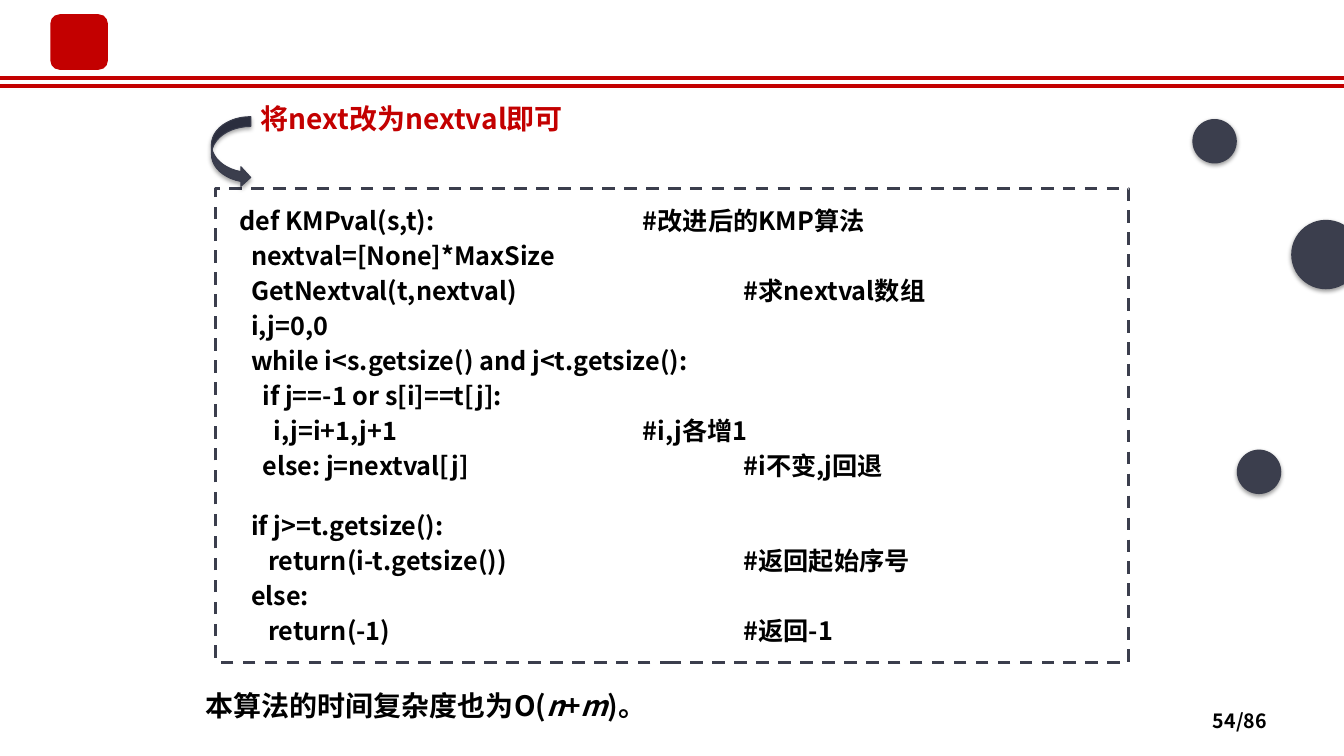
from lxml.etree import SubElement
from pptx import Presentation
from pptx.dml.color import RGBColor
from pptx.enum.dml import MSO_LINE
from pptx.enum.shapes import MSO_CONNECTOR, MSO_SHAPE as Preset
from pptx.enum.text import MSO_ANCHOR as Anchor, MSO_AUTO_SIZE as AutoSize, PP_ALIGN as Align
from pptx.oxml.ns import qn
from pptx.util import Cm, Pt

COLORS = {"red": "C30000", "slate": "3B3E4D", "slate_end": "363A4E",
          "arrow_line": "393C4C", "black": "000000"}
FONT = "Noto Sans CJK SC"
WIDTH, HEIGHT = 33.87, 19.05
NEAR_COLUMN, FAR_COLUMN = 10.16, 12.7

CODE = [
    ("def KMPval(s,t):", "#改进后的KMP算法", NEAR_COLUMN),
    ("  nextval=[None]*MaxSize", "", None),
    ("  GetNextval(t,nextval)", "#求nextval数组", FAR_COLUMN),
    ("  i,j=0,0", "", None),
    ("  while i<s.getsize() and j<t.getsize():", "", None),
    ("    if j==-1 or s[i]==t[j]:", "", None),
    ("      i,j=i+1,j+1", "#i,j各增1", NEAR_COLUMN),
    ("    else: j=nextval[j]", "#i不变,j回退", FAR_COLUMN),
    ("  if j>=t.getsize():", "", None),
    ("     return(i-t.getsize())", "#返回起始序号", FAR_COLUMN),
    ("  else:", "", None),
    ("     return(-1)", "#返回-1", FAR_COLUMN),
]
BLOCK_START = 8


def color(name):
    return RGBColor.from_string(COLORS[name])


def place(box):
    return [Cm(length) for length in box]


def write(paragraph, text, size=20, ink="black", bold=True, italic=False):
    run = paragraph.add_run()
    run.text = text
    font = run.font
    font.name, font.size, font.bold, font.italic = FONT, Pt(size), bold, italic
    font.color.rgb = color(ink)
    properties = font._element
    SubElement(properties, qn("a:ea"), typeface=FONT)


def add_text(slide, box, runs, align=Align.LEFT, anchor=Anchor.TOP,
             autosize=AutoSize.SHAPE_TO_FIT_TEXT, **style):
    frame = slide.shapes.add_textbox(*place(box)).text_frame
    frame.word_wrap = True
    frame.auto_size = autosize
    frame.vertical_anchor = anchor
    paragraph = frame.paragraphs[0]
    paragraph.alignment = align
    for text, italic in runs:
        write(paragraph, text, italic=italic, **style)


def add_shape(slide, preset, box, fill=None):
    shape = slide.shapes.add_shape(preset, *place(box))
    shape.shadow.inherit = False
    shape.line.fill.background()
    if fill:
        shape.fill.solid()
        shape.fill.fore_color.rgb = color(fill)
    else:
        shape.fill.background()
    return shape


def add_shadow(shape, blur, distance, opacity):
    effects = shape._element.spPr.find(qn("a:effectLst"))
    shadow = SubElement(effects, qn("a:outerShdw"), blurRad=str(Pt(blur)),
                        dist=str(Pt(distance)), dir="5400000", rotWithShape="0")
    ink = SubElement(shadow, qn("a:srgbClr"), val=COLORS["black"])
    SubElement(ink, qn("a:alpha"), val=str(opacity * 1000))


def add_header(slide, box):
    left, top, width, height = box
    add_shape(slide, Preset.ROUNDED_RECTANGLE,
              (left + 1.27, top + 0.36, 1.45, 1.4), "red")
    for y in (top + height - 0.2, top + height):
        rule = slide.shapes.add_connector(
            MSO_CONNECTOR.STRAIGHT, *place((left, y, left + width, y)))
        rule.line.color.rgb = color("red")
        rule.line.width = Pt(3)
        SubElement(rule._element.spPr, qn("a:effectLst"))


def add_tab_stop(paragraph, position):
    stops = SubElement(paragraph._p.get_or_add_pPr(), qn("a:tabLst"))
    SubElement(stops, qn("a:tab"), pos=str(Cm(position)), algn="l")


def add_code(slide, box):
    panel = add_shape(slide, Preset.RECTANGLE, box)
    panel.line.color.rgb = color("slate")
    panel.line.width = Pt(2.25)
    panel.line.dash_style = MSO_LINE.DASH
    frame = panel.text_frame
    frame.word_wrap = True
    frame.auto_size = AutoSize.SHAPE_TO_FIT_TEXT
    frame.vertical_anchor = Anchor.TOP
    frame.margin_left, frame.margin_right = Cm(0.6), Cm(0.25)
    frame.margin_top = frame.margin_bottom = Cm(0.3)
    for index, (code, comment, column) in enumerate(CODE):
        paragraph = frame.add_paragraph() if index else frame.paragraphs[0]
        paragraph.alignment = Align.LEFT
        paragraph.line_spacing = 2.0 if index == BLOCK_START else Pt(25)
        if comment:
            add_tab_stop(paragraph, column)
            code = f"{code}\t{comment}"
        write(paragraph, code, size=18)


def add_hint(slide, box):
    left, top, width, height = box
    arrow = add_shape(slide, Preset.CURVED_RIGHT_ARROW,
                      (left, top + 0.5, 0.99, 1.78), "slate")
    arrow.fill.gradient()
    arrow.fill.gradient_angle = 90
    for stop, name in zip(arrow.fill.gradient_stops, ("slate", "slate_end")):
        stop.color.rgb = color(name)
    arrow.line.color.rgb = color("arrow_line")
    arrow.line.width = Pt(0.75)
    add_shadow(arrow, 3.1, 1.8, 35)
    add_text(slide, (left + 0.99, top, width - 0.99, height),
             [("将next改为nextval即可", False)], ink="red")


def add_dots(slide, box):
    left, top = box[:2]
    for x, y, size in ((0, 0, 1.12), (2.49, 2.54, 1.75), (1.12, 8.33, 1.12)):
        dot = add_shape(slide, Preset.OVAL, (left + x, top + y, size, size), "slate")
        add_shadow(dot, 3.1, 1.6, 38)


def add_footer(slide, box):
    left, top, width, height = box
    add_text(slide, (left, top, 11.91, 1.12),
             [("本算法的时间复杂度也为O(", False), ("n", True), ("+", False),
              ("m", True), (")。", False)])
    add_text(slide, (left + width - 7.9, top + 0.43, 7.9, 1.02), [("54/86", False)],
             align=Align.RIGHT, anchor=Anchor.MIDDLE, autosize=AutoSize.NONE, size=14)


def main():
    presentation = Presentation()
    presentation.slide_width, presentation.slide_height = Cm(WIDTH), Cm(HEIGHT)
    slide = presentation.slides.add_slide(presentation.slide_layouts[6])
    add_header(slide, (0, 0, WIDTH, 2.16))
    add_code(slide, (5.44, 4.75, 23.01, 11.94))
    add_footer(slide, (4.93, 17.22, 27.25, 1.45))
    add_hint(slide, (5.33, 2.44, 9.73, 1.12))
    add_dots(slide, (30.05, 3, 4.24, 9.45))
    presentation.save("out.pptx")


if __name__ == "__main__":
    main()
